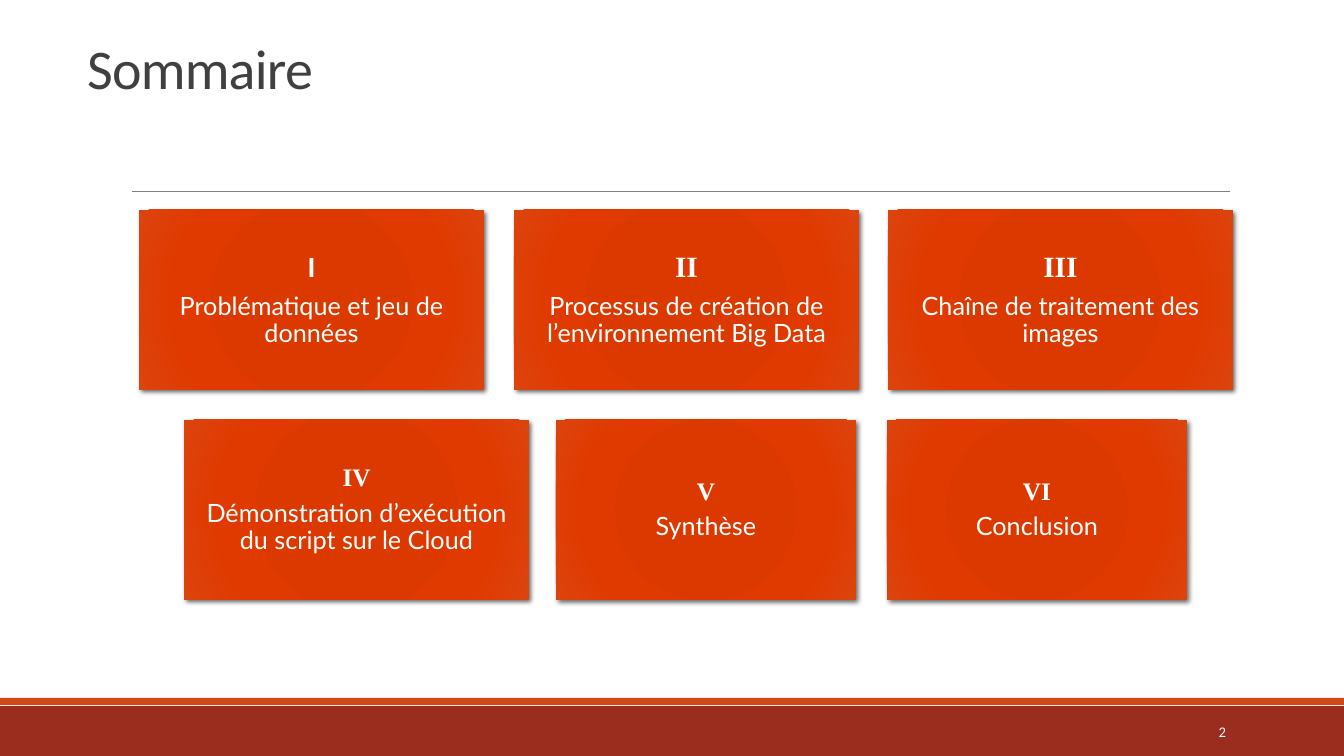
from lxml import etree
from pptx import Presentation
from pptx.dml.color import RGBColor
from pptx.enum.shapes import MSO_CONNECTOR, MSO_SHAPE
from pptx.enum.text import MSO_ANCHOR, PP_ALIGN
from pptx.oxml import parse_xml
from pptx.oxml.ns import qn
from pptx.util import Pt

PX = 12700 * 72 / 100.8
WHITE = RGBColor(0xFF, 0xFF, 0xFF)
CHARCOAL = RGBColor(0x40, 0x40, 0x40)
GREY = RGBColor(0x80, 0x80, 0x80)
BRICK = RGBColor(0x9B, 0x2D, 0x1F)
ORANGE = RGBColor(0xD3, 0x48, 0x17)
CARD_STOPS = [
    (0, RGBColor(0xDA, 0x39, 0x00)),
    (34, RGBColor(0xDC, 0x39, 0x00)),
    (70, RGBColor(0xE0, 0x3A, 0x00)),
    (100, RGBColor(0xDC, 0x44, 0x0E)),
]
DRAWING = 'xmlns:a="http://schemas.openxmlformats.org/drawingml/2006/main"'
SHADOW = (
    f'<a:effectLst {DRAWING}><a:outerShdw blurRad="44450" dist="25400" dir="2700000" '
    'algn="br" rotWithShape="0"><a:srgbClr val="000000"><a:alpha val="60000"/>'
    '</a:srgbClr></a:outerShdw></a:effectLst>'
)


def box(*lengths):
    return [round(length * PX) for length in lengths]


def style(paragraph, font_name, size, color, bold=False):
    font = paragraph.runs[0].font
    font.name, font.size, font.bold = font_name, Pt(size), bold
    font.color.rgb = color


prs = Presentation()
prs.slide_width, prs.slide_height = box(1344, 756)
slide = prs.slides.add_slide(prs.slide_layouts[5])
shapes = slide.shapes

for top, height, color in [(706, 50, BRICK), (698, 7, ORANGE)]:
    band = shapes.add_shape(MSO_SHAPE.RECTANGLE, *box(0, top, 1344, height))
    band.shadow.inherit = False
    band.fill.solid()
    band.fill.fore_color.rgb = color
    band.line.fill.background()

rule = shapes.add_connector(MSO_CONNECTOR.STRAIGHT, *box(132, 191, 1230, 191))
rule.line.color.rgb = GREY
rule.line.width = Pt(0.5)
etree.SubElement(rule._element.spPr, qn("a:effectLst"))

title = shapes.title
title.left, title.top, title.width, title.height = box(77, 47, 877, 59)
heading = title.text_frame
heading.text = "Sommaire"
heading.word_wrap = True
heading.vertical_anchor = MSO_ANCHOR.BOTTOM
heading.paragraphs[0].alignment = PP_ALIGN.LEFT
heading.paragraphs[0].line_spacing = 0.85
style(heading.paragraphs[0], "Calibri", 40, CHARCOAL)
heading.paragraphs[0].runs[0].font._element.set("spc", "-50")

chapters = [
    (139, 210, 345, "I", "Problématique et jeu de données"),
    (514, 210, 345, "II", "Processus de création de l’environnement Big Data"),
    (888, 210, 345, "III", "Chaîne de traitement des images"),
    (184, 420, 345, "IV", "Démonstration d’exécution du script sur le Cloud"),
    (556, 420, 300, "V", "Synthèse"),
    (887, 420, 300, "VI", "Conclusion"),
]
for left, top, width, numeral, topic in chapters:
    card = shapes.add_shape(MSO_SHAPE.RECTANGLE, *box(left, top, width, 180))
    card.line.fill.background()
    stops = "".join(
        f'<a:gs pos="{position * 1000}"><a:srgbClr val="{color}"/></a:gs>'
        for position, color in CARD_STOPS
    )
    gradient = parse_xml(
        f'<a:gradFill {DRAWING} rotWithShape="1"><a:gsLst>{stops}</a:gsLst>'
        '<a:path path="circle"><a:fillToRect l="100000" t="100000" r="100000" b="100000"/>'
        '</a:path></a:gradFill>'
    )
    properties = card._element.spPr
    properties.find(qn("a:prstGeom")).addnext(gradient)
    properties.append(parse_xml(SHADOW))

    first_row = top == 210
    numeral_size = 21 if first_row else 18
    frame = card.text_frame
    frame.word_wrap = True
    frame.vertical_anchor = MSO_ANCHOR.MIDDLE
    frame.margin_left, frame.margin_right = box(8, 8)
    frame.margin_top, frame.margin_bottom = box(*([9, 9] if first_row else [7, 7]))
    frame.text = f"{numeral}\n{topic}"
    numeral_font = "Calibri" if numeral == "I" else "Times New Roman"
    style(frame.paragraphs[0], numeral_font, numeral_size, WHITE, True)
    style(frame.paragraphs[1], "Lato", 18, WHITE)
    for paragraph, size in zip(frame.paragraphs, (numeral_size, 18)):
        paragraph.alignment = PP_ALIGN.CENTER
        paragraph.line_spacing = 0.9
        paragraph.space_after = Pt(round(size * 0.35))

page_number = shapes.add_textbox(*box(1092, 712, 144, 40)).text_frame
page_number.word_wrap = True
page_number.vertical_anchor = MSO_ANCHOR.MIDDLE
page_number.text = "2"
page_number.paragraphs[0].alignment = PP_ALIGN.RIGHT
style(page_number.paragraphs[0], "Calibri", 10.5, WHITE)

prs.save("out.pptx")
